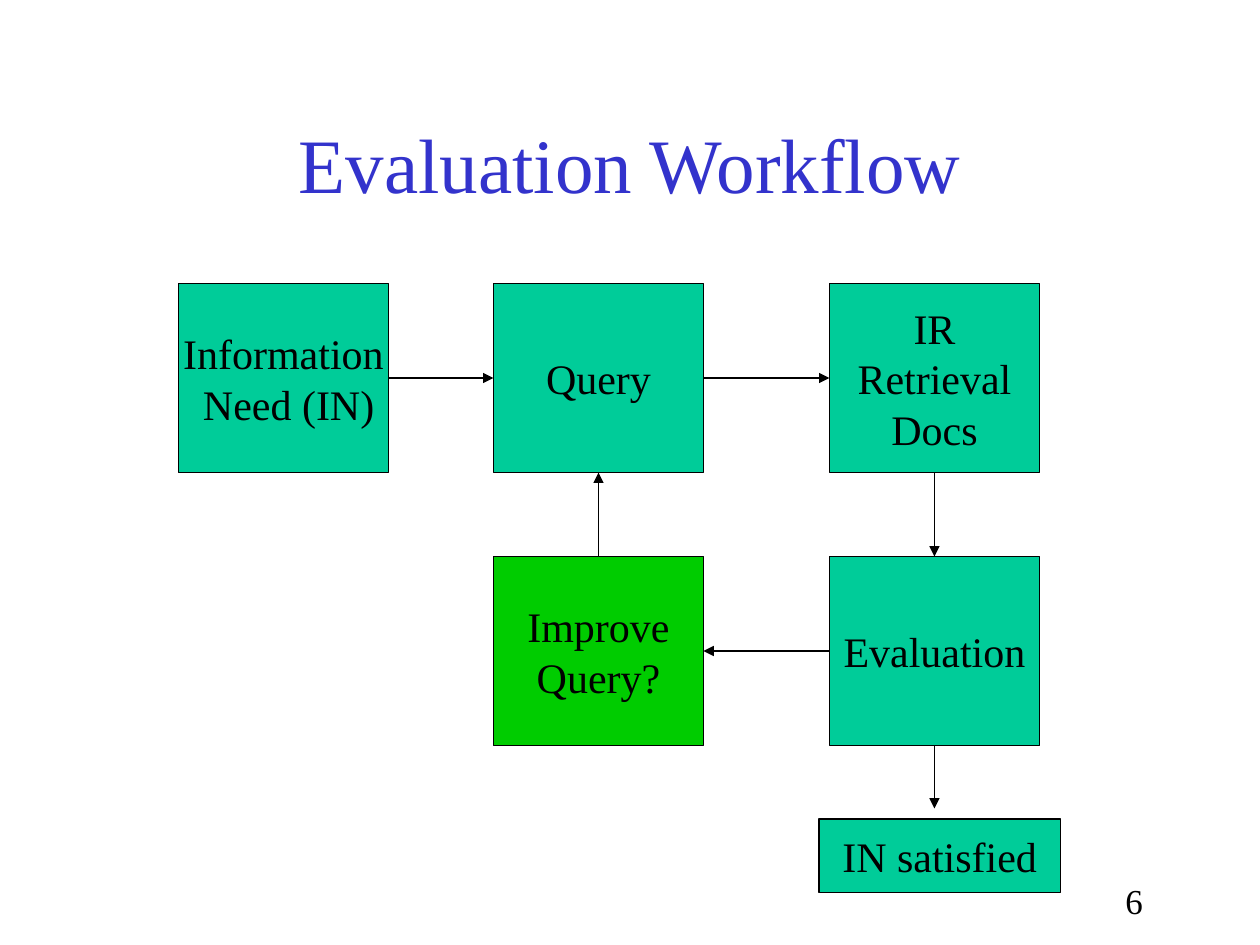
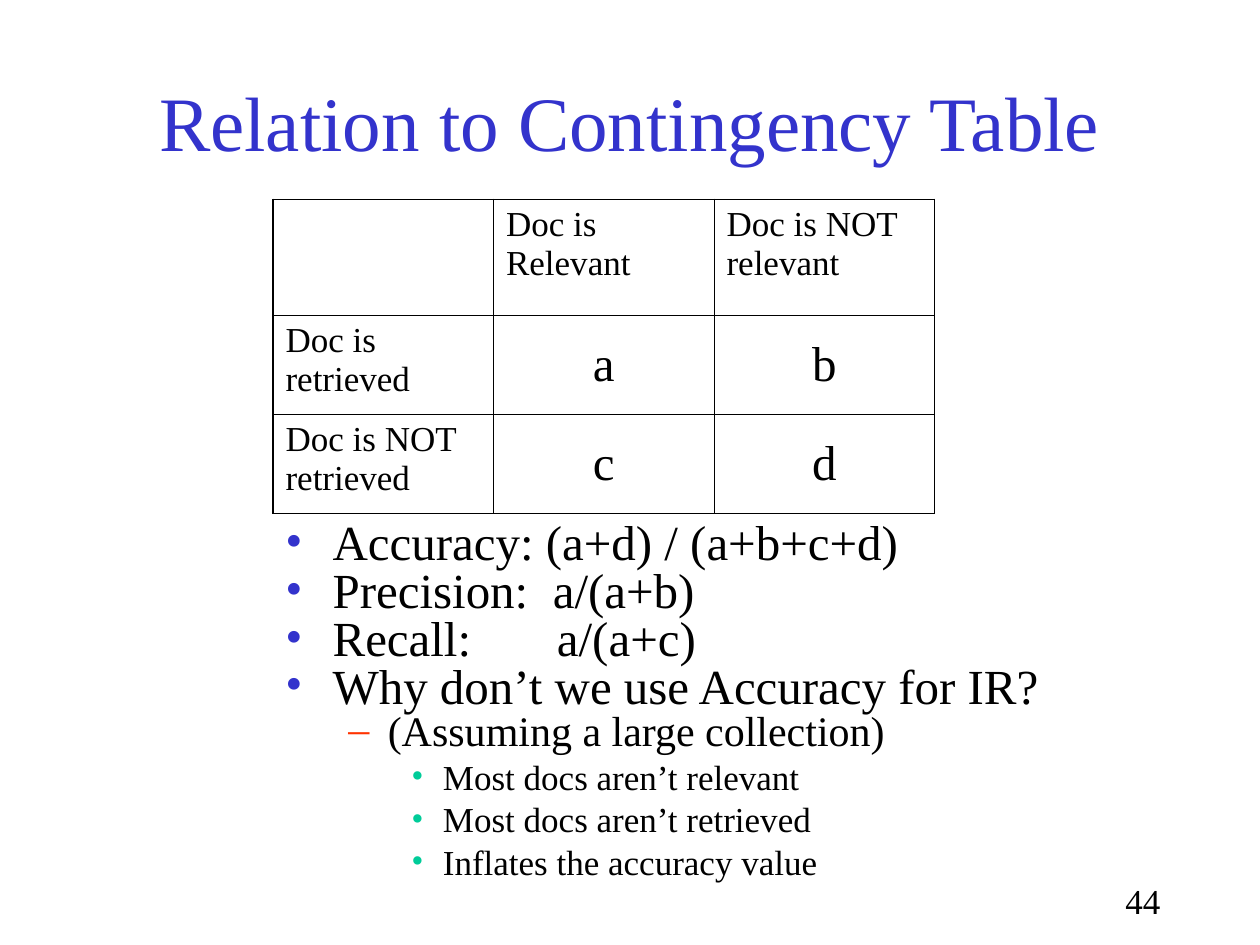
from dataclasses import dataclass

from lxml.etree import SubElement
from pptx import Presentation
from pptx.dml.color import RGBColor as RGB
from pptx.enum.shapes import MSO_CONNECTOR as Connector, MSO_SHAPE as Shape
from pptx.enum.text import MSO_ANCHOR as Anchor, PP_ALIGN as Align
from pptx.oxml.ns import qn
from pptx.util import Pt


@dataclass(frozen=True)
class Theme:
    font: str = "Times New Roman"
    ink: str = "000000"
    title: str = "3333CC"
    teal: str = "00CC99"
    green: str = "00CC00"
    red: str = "FF3300"
    title_size: int = 44
    large: int = 28
    medium: int = 24
    small: int = 20
    line: float = 0.75
    inner_border: float = 0.45
    outer_border: float = 1.08


THEME = Theme()
TOP, LEFT, BOTTOM, RIGHT = range(4)


@dataclass(frozen=True)
class Level:
    """Look of one bullet level; lengths in points."""
    bullet: str
    color: str
    size: int
    margin: float
    hanging: float
    pitch: float
    before: float


LEVELS = (
    Level("•", THEME.title, THEME.large, 27, 27, 22.5, 4.8),
    Level("–", THEME.red, THEME.medium, 58.5, 22.5, 19, 4.2),
    Level("•", THEME.teal, THEME.small, 90, 18, 20, 4.3),
)


def points(*lengths):
    return [Pt(length) for length in lengths]


def write(frame, text, size=THEME.medium, color=THEME.ink, align=Align.LEFT,
          anchor=Anchor.TOP, pitch=None, wrap=True):
    """Fill a text frame, one paragraph for each line of text."""
    frame.word_wrap = wrap
    frame.vertical_anchor = anchor
    for index, line in enumerate(text.split("\n")):
        paragraph = frame.add_paragraph() if index else frame.paragraphs[0]
        paragraph.alignment = align
        if pitch:
            paragraph.line_spacing = Pt(pitch)
        add_words(paragraph, line, size, color)


def add_words(paragraph, words, size, color=THEME.ink):
    run = paragraph.add_run()
    run.text = words
    run.font.name = THEME.font
    run.font.size = Pt(size)
    run.font.color.rgb = RGB.from_string(color)
    return run


def add_frame(slide, title, title_top, number):
    """Add what both slides share: title and slide number."""
    heading = slide.shapes.add_textbox(*points(54, title_top, 612, 90))
    write(heading.text_frame, title, size=THEME.title_size, color=THEME.title,
          align=Align.CENTER, anchor=Anchor.MIDDLE)
    footer = slide.shapes.add_textbox(*points(636, 499, 80, 32))
    write(footer.text_frame, number, size=THEME.small)


def add_step(slide, label, box, fill=THEME.teal):
    step = slide.shapes.add_shape(Shape.RECTANGLE, *points(*box))
    step.shadow.inherit = False
    step.fill.solid()
    step.fill.fore_color.rgb = RGB.from_string(fill)
    step.line.color.rgb = RGB.from_string(THEME.ink)
    step.line.width = Pt(THEME.line)
    write(step.text_frame, label, align=Align.CENTER, anchor=Anchor.MIDDLE,
          pitch=29, wrap=False)
    return step


def add_arrow(slide, start=(0, 0), end=(0, 0), source=None, target=None):
    """Draw an arrow; source and target are (step, side) pairs to join."""
    arrow = slide.shapes.add_connector(Connector.STRAIGHT, *points(*start, *end))
    if source:
        arrow.begin_connect(*source)
    if target:
        arrow.end_connect(*target)
    arrow.line.color.rgb = RGB.from_string(THEME.ink)
    arrow.line.width = Pt(THEME.line)
    SubElement(arrow.line._get_or_add_ln(), qn("a:tailEnd"), type="triangle")
    SubElement(arrow._element.spPr, qn("a:effectLst"))


def add_workflow(slide, left, top):
    width, height = 120, 108
    columns = [left + offset for offset in (0, 180, 372)]
    rows = [top, top + 156]

    def place(label, column, row, fill=THEME.teal):
        return add_step(slide, label, (columns[column], rows[row], width, height), fill)

    need = place("Information\n Need (IN)", 0, 0)
    query = place("Query", 1, 0)
    retrieval = place("IR\nRetrieval\nDocs", 2, 0)
    improve = place("Improve\nQuery?", 1, 1, THEME.green)
    evaluation = place("Evaluation", 2, 1)
    for source, target in (
        ((need, RIGHT), (query, LEFT)),
        ((query, RIGHT), (retrieval, LEFT)),
        ((retrieval, BOTTOM), (evaluation, TOP)),
        ((improve, TOP), (query, BOTTOM)),
        ((evaluation, LEFT), (improve, RIGHT)),
    ):
        add_arrow(slide, source=source, target=target)

    exit_x, exit_y = columns[2] + width / 2, rows[1] + height
    add_arrow(slide, (exit_x, exit_y), (exit_x, exit_y + 36), source=(evaluation, BOTTOM))
    add_step(slide, "IN satisfied", (columns[2] - 6, exit_y + 42, 138, 42))


def set_borders(cell, outer_sides):
    """Rule all four sides, with the heavier line on the outer ones."""
    properties = cell._tc.get_or_add_tcPr()
    for side in "LRTB":
        width = THEME.outer_border if side in outer_sides else THEME.inner_border
        border = SubElement(properties, qn(f"a:ln{side}"), w=str(int(Pt(width))))
        paint = SubElement(border, qn("a:solidFill"))
        SubElement(paint, qn("a:srgbClr"), val=THEME.ink)


def add_contingency_table(slide, left, top, column_width, row_heights):
    contents = (
        ("", "Doc is Relevant", "Doc is NOT relevant"),
        ("Doc is retrieved", "a", "b"),
        ("Doc is NOT retrieved", "c", "d"),
    )
    last = len(contents) - 1
    table = slide.shapes.add_table(
        last + 1, last + 1,
        *points(left, top, column_width * (last + 1), sum(row_heights))).table
    table.first_row = table.horz_banding = False
    for column in table.columns:
        column.width = Pt(column_width)
    for r, (row, height) in enumerate(zip(contents, row_heights)):
        table.rows[r].height = Pt(height)
        for c, text in enumerate(row):
            cell = table.cell(r, c)
            cell.margin_left = cell.margin_right = Pt(7.2)
            cell.margin_top = cell.margin_bottom = Pt(3.6)
            outer = {"L": c == 0, "R": c == last, "T": r == 0, "B": r == last}
            set_borders(cell, [side for side, is_outer in outer.items() if is_outer])
            cell.fill.background()
            if r and c:
                write(cell.text_frame, text, size=THEME.large, align=Align.CENTER)
                cell.vertical_anchor = Anchor.MIDDLE
            elif text:
                write(cell.text_frame, text, size=THEME.small, pitch=22)


def set_bullet(paragraph, level):
    properties = paragraph._p.get_or_add_pPr()
    properties.set("marL", str(int(Pt(level.margin))))
    properties.set("indent", str(int(-Pt(level.hanging))))
    color = SubElement(properties, qn("a:buClr"))
    SubElement(color, qn("a:srgbClr"), val=level.color)
    SubElement(properties, qn("a:buFont"), typeface=THEME.font)
    SubElement(properties, qn("a:buChar"), char=level.bullet)


def add_measures(slide, box):
    """List the measures; a gap widens the space between name and formula."""
    measures = (
        (0, "Accuracy: (a+d) / (a+b+c+d)", "", 0),
        (0, "Precision:", "a/(a+b)", 7),
        (0, "Recall:", "a/(a+c)", 42),
        (0, "Why don’t we use Accuracy for IR?", "", 0),
        (1, "(Assuming a large collection)", "", 0),
        (2, "Most docs aren’t relevant", "", 0),
        (2, "Most docs aren’t retrieved", "", 0),
        (2, "Inflates the accuracy value", "", 0),
    )
    frame = slide.shapes.add_textbox(*points(*box)).text_frame
    frame.word_wrap = True
    for index, (depth, name, formula, gap) in enumerate(measures):
        level = LEVELS[depth]
        paragraph = frame.add_paragraph() if index else frame.paragraphs[0]
        paragraph.level = depth
        set_bullet(paragraph, level)
        paragraph.line_spacing = Pt(level.pitch)
        if index:
            paragraph.space_before = Pt(level.before)
        add_words(paragraph, name, level.size)
        if formula:
            space = add_words(paragraph, " ", level.size)
            space.font._element.set("spc", str(gap * 100))
            add_words(paragraph, formula, level.size)


def build_workflow_slide(slide):
    add_frame(slide, "Evaluation Workflow", 48, "6")
    add_workflow(slide, 102, 162)


def build_contingency_slide(slide):
    add_frame(slide, "Relation to Contingency Table", 24, "44")
    add_measures(slide, (156, 300, 450, 240))
    add_contingency_table(slide, 156, 114, 126, (66.2, 56.6, 56.6))


def main():
    deck = Presentation()
    deck.slide_width, deck.slide_height = points(720, 540)
    blank = deck.slide_layouts[6]
    for build in (build_workflow_slide, build_contingency_slide):
        build(deck.slides.add_slide(blank))
    deck.save("out.pptx")


if __name__ == "__main__":
    main()
